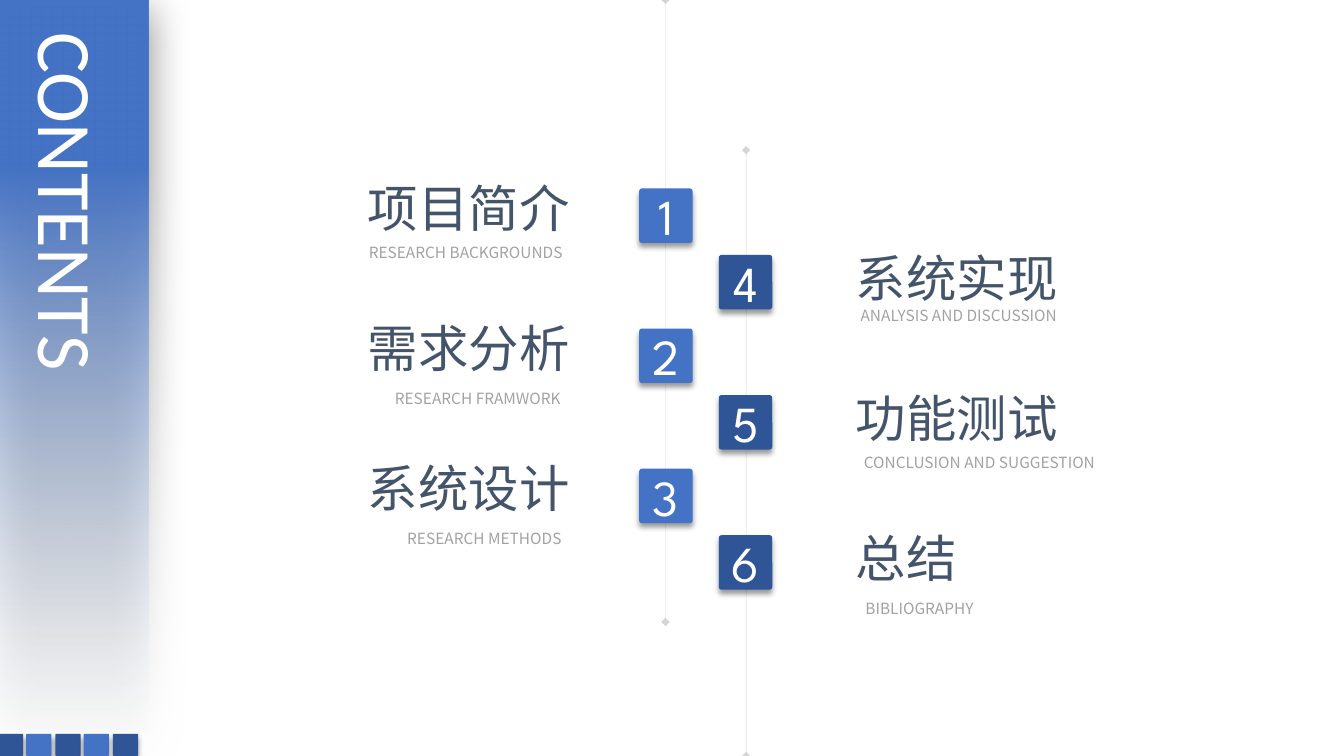
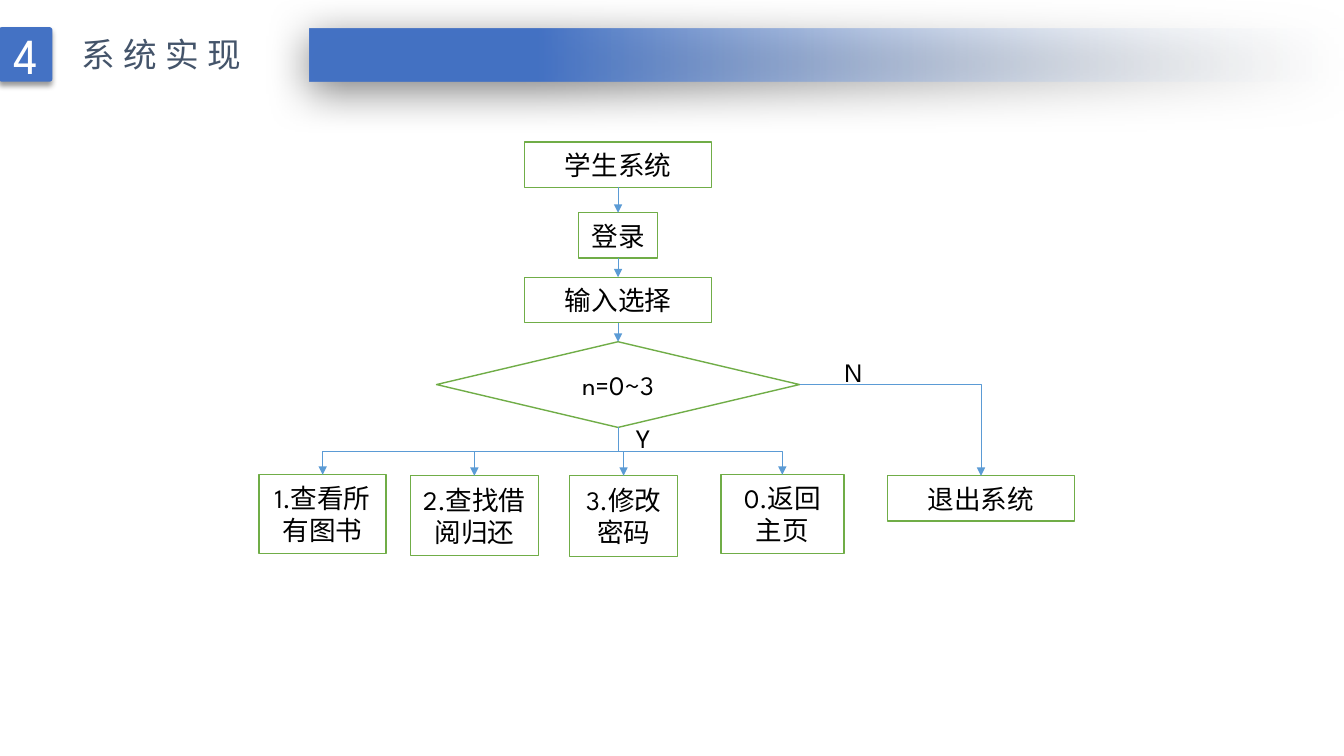
"""Build a contents slide and a system flow chart slide."""
from dataclasses import dataclass
from itertools import pairwise

from lxml import etree
from pptx import Presentation
from pptx import util as u
from pptx.dml.color import RGBColor
from pptx.enum import shapes, text
from pptx.oxml.ns import qn

PX = 9144
BLUE = RGBColor(0x44, 0x72, 0xC4)
NAVY = RGBColor(0x2F, 0x55, 0x97)
MIST = RGBColor(0xF7, 0xFA, 0xFD)
SLATE = RGBColor(0x44, 0x54, 0x6A)
SILVER = RGBColor(0xA2, 0xA2, 0xA2)
GREY = RGBColor(0x80, 0x80, 0x80)
GREEN = RGBColor(0x70, 0xAD, 0x47)
SKY = RGBColor(0x5B, 0x9B, 0xD5)
WHITE = RGBColor(0xFF, 0xFF, 0xFF)
BLACK = RGBColor(0, 0, 0)

SPARTAN, CALIBRI, NOTO = "League Spartan", "Calibri", "Noto Sans CJK SC"
LEFT, CENTER = text.PP_ALIGN.LEFT, text.PP_ALIGN.CENTER
RECT = shapes.MSO_SHAPE.RECTANGLE
TOP, BOTTOM, RIGHT = 0, 2, 3
ROW_PITCH = 139


@dataclass(frozen=True)
class Box:
    left: int
    top: int
    width: int
    height: int

    def emu(self) -> list[int]:
        return [n * PX for n in (self.left, self.top, self.width, self.height)]


@dataclass(frozen=True)
class Style:
    font: str
    size: int
    color: RGBColor
    align: text.PP_ALIGN = CENTER
    spacing: int = 0


@dataclass(frozen=True)
class Shadow:
    opacity: int
    blur: int
    distance: int
    angle: int


@dataclass(frozen=True)
class Entry:
    heading: str
    caption: str
    caption_box: Box


@dataclass(frozen=True)
class Column:
    first_number: int
    badge_left: int
    badge_top: int
    heading_left: int
    heading_top: int
    color: RGBColor
    entries: tuple[Entry, ...]


BAND_SHADOW = Shadow(50, 31, 6, 97)
TILE_SHADOW = Shadow(40, 4, 3, 90)
CONTENTS = Style(CALIBRI, 55, WHITE, LEFT)
SECTION = Style(NOTO, 24, SLATE, LEFT, 6)
NUMBER = Style(SPARTAN, 36, WHITE)
HEADING = Style(NOTO, 36, SLATE, LEFT)
CAPTION = Style(NOTO, 11, SILVER)
STEP = Style(SPARTAN, 19, BLACK)
BRANCH = Style(SPARTAN, 19, BLACK, LEFT)

COLUMNS = (
    Column(1, 634, 187, 355, 171, BLUE, (
        Entry("项目简介", "RESEARCH BACKGROUNDS", Box(351, 236, 222, 29)),
        Entry("需求分析", "RESEARCH FRAMWORK", Box(376, 381, 196, 29)),
        Entry("系统设计", "RESEARCH METHODS", Box(390, 520, 181, 29)),
    )),
    Column(4, 713, 253, 839, 240, NAVY, (
        Entry("系统实现", "ANALYSIS AND DISCUSSION", Box(835, 299, 232, 29)),
        Entry("功能测试", "CONCLUSION AND SUGGESTION", Box(838, 445, 267, 29)),
        Entry("总结", "BIBLIOGRAPHY", Box(846, 589, 132, 29)),
    )),
)

MAIN_STEPS = (
    ("学生系统", Box(520, 141, 186, 45)),
    ("登录", Box(574, 211, 78, 45)),
    ("输入选择", Box(520, 275, 186, 45)),
)
CHOICES = (
    ("1.查看所有图书", Box(257, 471, 126, 78)),
    ("2.查找借阅归还", Box(407, 472, 127, 79)),
    ("3.修改密码", Box(565, 472, 107, 80)),
    ("0.返回主页", Box(715, 471, 122, 78)),
)


def write(shape, words: str, style: Style) -> None:
    frame = shape.text_frame
    frame.text = words
    paragraph = frame.paragraphs[0]
    paragraph.alignment = style.align
    font = paragraph.font
    font.name, font.size = style.font, u.Pt(style.size)
    font.color.rgb = style.color
    etree.SubElement(font._rPr, qn("a:ea"), typeface=style.font)
    if style.spacing:
        font._rPr.set("spc", str(style.spacing * 100))


def add_label(slide, box: Box, words: str, style: Style) -> None:
    label = slide.shapes.add_textbox(*box.emu())
    label.text_frame.word_wrap = False
    write(label, words, style)


def place_title(slide, box: Box, words: str, style: Style, vertical: bool = False) -> None:
    title = slide.shapes.title
    slide.shapes._spTree.append(title._element)
    title.left, title.top, title.width, title.height = box.emu()
    frame = title.text_frame
    frame.word_wrap = vertical
    frame.auto_size = text.MSO_AUTO_SIZE.NONE
    frame.vertical_anchor = text.MSO_ANCHOR.TOP
    if vertical:
        frame._txBody.bodyPr.set("vert", "eaVert")
    write(title, words, style)


def cast_shadow(shape, shadow: Shadow) -> None:
    shape.shadow.inherit = False
    effects = shape._element.spPr.find(qn("a:effectLst"))
    outer = etree.SubElement(
        effects, qn("a:outerShdw"), blurRad=str(u.Pt(shadow.blur)),
        dist=str(u.Pt(shadow.distance)), dir=str(shadow.angle * 60000),
        algn="ctr", rotWithShape="0")
    color = etree.SubElement(outer, qn("a:srgbClr"), val=str(BLACK))
    etree.SubElement(color, qn("a:alpha"), val=str(shadow.opacity * 1000))


def add_band(slide, box: Box, angle: int) -> None:
    band = slide.shapes.add_shape(RECT, *box.emu())
    band.line.fill.background()
    band.fill.gradient()
    band.fill.gradient_angle = angle
    for stop, color, position in zip(band.fill.gradient_stops, (MIST, BLUE), (0, 0.78)):
        stop.color.rgb, stop.position = color, position
    clear_end = band._element.spPr.find(".//" + qn("a:srgbClr"))
    etree.SubElement(clear_end, qn("a:alpha"), val="0")
    cast_shadow(band, BAND_SHADOW)


def add_tile(slide, box: Box, color: RGBColor, number: str = "") -> None:
    tile = slide.shapes.add_shape(shapes.MSO_SHAPE.ROUNDED_RECTANGLE, *box.emu())
    tile.adjustments[0] = 0.05
    tile.fill.solid()
    tile.fill.fore_color.rgb = color
    tile.line.fill.background()
    cast_shadow(tile, TILE_SHADOW)
    if number:
        write(tile, number, NUMBER)


def add_badge(slide, left: int, top: int, color: RGBColor, number: int) -> None:
    add_tile(slide, Box(left, top, 53, 54), color, str(number))


def add_step(slide, words: str, box: Box, preset=RECT):
    step = slide.shapes.add_shape(preset, *box.emu())
    step.shadow.inherit = False
    step.fill.solid()
    step.fill.fore_color.rgb = WHITE
    step.line.color.rgb, step.line.width = GREEN, u.Pt(1)
    write(step, words, STEP)
    return step


def finish_line(connector, color: RGBColor, width: float, **ends: str) -> None:
    connector.line.color.rgb, connector.line.width = color, u.Pt(width)
    outline = connector.line._get_or_add_ln()
    for end, kind in ends.items():
        etree.SubElement(outline, qn(f"a:{end}"), type=kind)
    etree.SubElement(connector._element.spPr, qn("a:effectLst"))


def add_rail(slide, x: int, top: int, bottom: int) -> None:
    rail = slide.shapes.add_connector(
        shapes.MSO_CONNECTOR.STRAIGHT, x * PX, top * PX, x * PX, bottom * PX)
    finish_line(rail, GREY, 0.25, headEnd="diamond", tailEnd="diamond")
    color = rail._element.spPr.find(".//" + qn("a:srgbClr"))
    etree.SubElement(color, qn("a:alpha"), val="33000")


def link(slide, source, target, side: int = BOTTOM, kind=shapes.MSO_CONNECTOR.STRAIGHT):
    arrow = slide.shapes.add_connector(kind, 0, 0, 0, 0)
    arrow.begin_connect(source, side)
    arrow.end_connect(target, TOP)
    finish_line(arrow, SKY, 0.5, tailEnd="triangle")
    return arrow


def link_corner(slide, source, target) -> None:
    arrow = link(slide, source, target, RIGHT, shapes.MSO_CONNECTOR.ELBOW)
    arrow._element.spPr.find(qn("a:prstGeom")).set("prst", "bentConnector2")


def link_down(slide, source, target) -> None:
    arrow = link(slide, source, target, BOTTOM, shapes.MSO_CONNECTOR.ELBOW)
    rightward = arrow.end_x > arrow.begin_x
    across, down = arrow.width, arrow.height
    arrow.left += (across - down) // 2
    arrow.top += (down - across) // 2
    arrow.width, arrow.height = down, across
    frame = arrow._element.spPr.find(qn("a:xfrm"))
    frame.set("rot", str((270 if rightward else 90) * 60000))
    frame.set("flipH", "1" if rightward else "0")


def build_contents(slide) -> None:
    add_rail(slide, 740, 149, 750)
    add_rail(slide, 660, 0, 617)
    add_band(slide, Box(0, 0, 147, 746), 90)
    for i in range(5):
        add_tile(slide, Box(-2 + i * 57 // 2, 728, 25, 22), BLUE if i % 2 else NAVY)
    place_title(slide, Box(12, 27, 113, 494), "CONTENTS", CONTENTS, vertical=True)
    for column in COLUMNS:
        for row, entry in enumerate(column.entries):
            drop = row * ROW_PITCH
            add_badge(slide, column.badge_left, column.badge_top + drop,
                      column.color, column.first_number + row)
            heading_box = Box(column.heading_left, column.heading_top + drop,
                              len(entry.heading) * 50 + 21, 71)
            add_label(slide, heading_box, entry.heading, HEADING)
            add_label(slide, entry.caption_box, entry.caption, CAPTION)


def build_flow(slide) -> None:
    add_band(slide, Box(307, 28, 1026, 53), 180)
    add_badge(slide, -1, 27, BLUE, 4)
    place_title(slide, Box(71, 29, 188, 50), "系统实现", SECTION)
    steps = [add_step(slide, *step) for step in MAIN_STEPS]
    decision = add_step(slide, "n=0~3", Box(433, 339, 360, 85),
                        shapes.MSO_SHAPE.FLOWCHART_DECISION)
    for source, target in pairwise([*steps, decision]):
        link(slide, source, target)
    for choice in CHOICES:
        link_down(slide, decision, add_step(slide, *choice))
    link_corner(slide, decision, add_step(slide, "退出系统", Box(880, 472, 186, 45)))
    add_label(slide, Box(621, 414, 36, 42), "Y", BRANCH)
    add_label(slide, Box(828, 348, 40, 42), "N", BRANCH)


def main() -> None:
    deck = Presentation()
    deck.slide_width, deck.slide_height = 1333 * PX, 750 * PX
    title_only = deck.slide_layouts[5]
    for build in (build_contents, build_flow):
        build(deck.slides.add_slide(title_only))
    deck.save("out.pptx")


if __name__ == "__main__":
    main()
